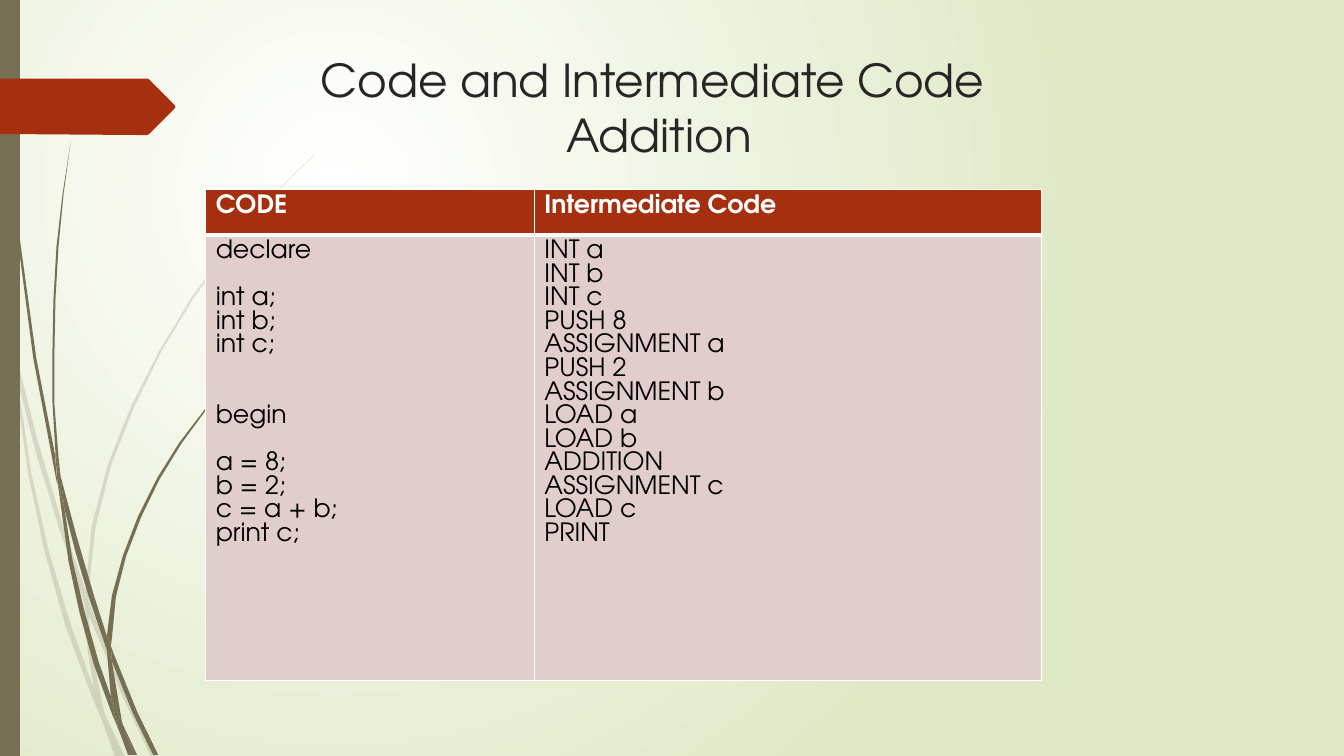
from lxml import etree
from pptx import Presentation
from pptx.dml.color import RGBColor
from pptx.enum.text import MSO_ANCHOR, PP_ALIGN
from pptx.oxml.ns import qn
from pptx.util import Inches, Pt

FONT = "TeX Gyre Adventor"
WHITE = RGBColor(0xFF, 0xFF, 0xFF)
BLACK = RGBColor(0, 0, 0)
PALE_GREEN = RGBColor(0xDF, 0xE8, 0xC4)
OLIVE = RGBColor(0x76, 0x6F, 0x54)
RUST = RGBColor(0xA5, 0x30, 0x10)
PINK = RGBColor(0xE1, 0xCD, 0xCC)
CHARCOAL = RGBColor(0x26, 0x26, 0x26)

# Outlines are corner points "x,y" in inches.
FADED_GRASS = [
    "0.11,3.5 0.09,3.22 0,2.82 0,2.99 0.1,3.44",
    "0.58,5.22 0.84,5.99 0.85,5.86 0.62,5.2 0.37,4.36 0.14,3.45 0.17,3.76 0.36,4.51",
    "0.92,6.07 0.88,5.96 0.88,6.1 1.23,6.94 1.5,7.51 1.55,7.51 1.27,6.92",
    "1.19,7.51 1.24,7.51 1.05,7.11",
    "0.93,6.83 0.7,6.19 0.48,5.45 0.31,4.69 0.17,3.76 0.11,3.5 0.28,4.7 0.44,5.46 "
    "0.65,6.21 0.92,6.93 1.01,7.14 0.99,7.07",
    "0.84,5.99 0.87,6.46 0.93,6.83 0.96,6.92 1.05,7.11 1.03,7.06 0.91,6.46 0.88,6.1 0.88,6.08",
    "0.88,5.84 0.95,5.22 1.1,4.62 1.33,4.04 1.6,3.49 1.92,2.96 2.29,2.45 2.68,1.98 2.9,1.75 "
    "3.12,1.54 3.12,1.53 2.89,1.75 2.68,1.97 2.28,2.44 1.9,2.95 1.58,3.48 1.3,4.03 "
    "1.07,4.61 0.91,5.22 0.85,5.84 0.85,5.86 0.88,5.96",
    "1.01,7.14 1.14,7.51 1.19,7.51",
    "0.88,6.08 0.88,6.1 0.88,5.96 0.85,5.86 0.84,5.99",
    "0.96,6.92 0.93,6.83 0.99,7.07 1.01,7.14 1.19,7.51 1.05,7.11",
]
SOLID_GRASS = [
    "0.07,1.1 0.17,2.33 0.33,3.55 0.56,4.77 0.57,4.81 0.55,4.57 0.55,4.53 0.36,3.55 "
    "0.19,2.32 0.08,1.09 0.05,0.48 0.04,0 0.03,0 0.04,0.48",
    "0.88,5.92 1.06,6.45 1.06,6.33 1.06,6.31 0.93,5.9 0.76,5.32 0.6,4.72 0.64,5.05 0.75,5.48",
    "1.13,6.49 1.1,6.41 1.11,6.56 1.32,7.08 1.52,7.49 1.57,7.49 1.36,7.06",
    "1.1,6.91 0.98,6.57 0.84,6.07 0.72,5.56 0.64,5.05 0.57,4.77 0.68,5.57 0.79,6.08 "
    "0.93,6.59 1.11,7.08 1.17,7.22 1.16,7.17",
    "0.6,4.72 0.58,4.53 0.54,4.01 0.54,3.49 0.55,2.97 0.58,2.45 0.63,1.93 0.7,1.41 "
    "0.62,1.93 0.56,2.45 0.53,2.97 0.52,3.49 0.52,3.99 0.55,4.49",
    "1.33,7.49 1.36,7.49 1.22,7.19",
    "0.57,4.77 0.64,5.05 0.6,4.72 0.55,4.49 0.55,4.53",
    "1.11,6.33 1.15,5.92 1.25,5.52 1.4,5.13 1.58,4.76 1.8,4.4 2.05,4.06 2.31,3.74 2.45,3.59 "
    "2.61,3.44 2.6,3.44 2.45,3.58 2.31,3.73 2.04,4.05 1.78,4.39 1.56,4.74 1.37,5.12 "
    "1.22,5.51 1.11,5.91 1.06,6.31 1.1,6.41",
    "1.17,7.22 1.27,7.49 1.31,7.49",
    "1.06,6.45 1.1,6.91 1.16,7.06 1.22,7.19 1.21,7.16 1.11,6.56 1.09,6.51",
    "1.06,6.45 1.09,6.51 1.11,6.56 1.1,6.41 1.06,6.31 1.06,6.33",
    "1.16,7.06 1.1,6.91 1.16,7.17 1.17,7.22 1.3,7.49 1.33,7.49 1.22,7.19",
]
RIBBON = "0,0.78 1.46,0.78 1.48,0.79 1.73,1.04 1.74,1.06 1.73,1.08 1.48,1.33 1.46,1.34 1.36,1.34 0,1.33"

HEADINGS = ["CODE", "Intermediate Code"]
LISTINGS = [
    ["declare", "", "int a;", "int b;", "int c;", "", "", "begin", "",
     "a = 8;", "b = 2;", "c = a + b;", "print c;"],
    ["INT a", "INT b", "INT c", "PUSH 8", "ASSIGNMENT a", "PUSH 2", "ASSIGNMENT b",
     "LOAD a", "LOAD b", "ADDITION", "ASSIGNMENT c", "LOAD c", "PRINT"],
]
LINE_PITCH = 16.85


def paint_background(slide):
    """Radial fade from white, upper left of centre, to pale green."""
    fill = slide.background.fill
    fill.gradient()
    for stop, color in zip(fill.gradient_stops, (WHITE, PALE_GREEN)):
        stop.color.rgb = color
    gradient = next(slide.element.iter(qn("a:gradFill")))
    gradient.remove(gradient.find(qn("a:lin")))
    circle = etree.SubElement(gradient, qn("a:path"), path="circle")
    etree.SubElement(circle, qn("a:fillToRect"), l="50000", t="50000", r="100000", b="100000")


def style_solid(shape, color):
    shape.shadow.inherit = False
    shape.fill.solid()
    shape.fill.fore_color.rgb = color
    shape.line.fill.background()


def add_outline(slide, outline, color, opacity=100):
    points = [tuple(Inches(float(n)) for n in pair.split(",")) for pair in outline.split()]
    builder = slide.shapes.build_freeform(*points[0])
    builder.add_line_segments(points[1:], close=True)
    shape = builder.convert_to_shape()
    style_solid(shape, color)
    if opacity < 100:
        rgb = next(shape.element.spPr.iter(qn("a:srgbClr")))
        etree.SubElement(rgb, qn("a:alpha"), val=str(opacity * 1000))


def style_font(font, size, color, bold=False):
    font.name, font.size, font.bold = FONT, Pt(size), bold
    font.color.rgb = color


def add_title(slide, text):
    frame = slide.shapes.add_textbox(Inches(1.66), Inches(0.47), Inches(9.75), Inches(1.4)).text_frame
    frame.word_wrap = True
    frame.vertical_anchor = MSO_ANCHOR.TOP
    title = frame.paragraphs[0]
    title.text = text
    title.alignment = PP_ALIGN.CENTER
    style_font(title.font, 32.4, CHARCOAL)


def set_borders(cell, **widths):
    """Draw white borders; widths are points by side: L, R, T, B."""
    properties = cell._tc.get_or_add_tcPr()
    for position, side in enumerate("LRTB"):
        border = etree.Element(qn(f"a:ln{side}"), w=str(Pt(widths.get(side, 1))))
        solid = etree.SubElement(border, qn("a:solidFill"))
        etree.SubElement(solid, qn("a:srgbClr"), val=str(WHITE))
        properties.insert(position, border)


def fill_cell(cell, lines, background, color, bold=False):
    """Write one paragraph per line; an empty line becomes space before the next."""
    cell.fill.solid()
    cell.fill.fore_color.rgb = background
    frame = cell.text_frame
    paragraph, skipped = frame.paragraphs[0], 0
    for line in lines:
        if not line:
            skipped += 1
            continue
        if paragraph.text:
            paragraph = frame.add_paragraph()
        paragraph.text = line
        paragraph.line_spacing = Pt(LINE_PITCH)
        paragraph.space_before = Pt(LINE_PITCH * skipped)
        style_font(paragraph.font, 18, color, bold)
        skipped = 0


def add_code_table(slide):
    table = slide.shapes.add_table(2, 2, Inches(2.04), Inches(1.88), Inches(8.29), Inches(4.87)).table
    table.rows[0].height, table.rows[1].height = Inches(0.45), Inches(4.42)
    for column, width in enumerate((3.26, 5.03)):
        table.columns[column].width = Inches(width)
        heading, listing = table.cell(0, column), table.cell(1, column)
        fill_cell(heading, [HEADINGS[column]], RUST, WHITE, bold=True)
        fill_cell(listing, LISTINGS[column], PINK, BLACK)
        set_borders(heading, B=3)
        set_borders(listing, T=3)


def main():
    deck = Presentation()
    deck.slide_width, deck.slide_height = Inches(13.33), Inches(7.5)
    slide = deck.slides.add_slide(deck.slide_layouts[6])
    paint_background(slide)
    for blade in FADED_GRASS:
        add_outline(slide, blade, OLIVE, opacity=20)
    for blade in SOLID_GRASS:
        add_outline(slide, blade, OLIVE)
    add_outline(slide, "0,0 0.2,0 0.2,7.5 0,7.5", OLIVE)
    add_outline(slide, RIBBON, RUST)
    add_title(slide, "Code and Intermediate Code \vAddition")
    add_code_table(slide)
    deck.save("out.pptx")


if __name__ == "__main__":
    main()
